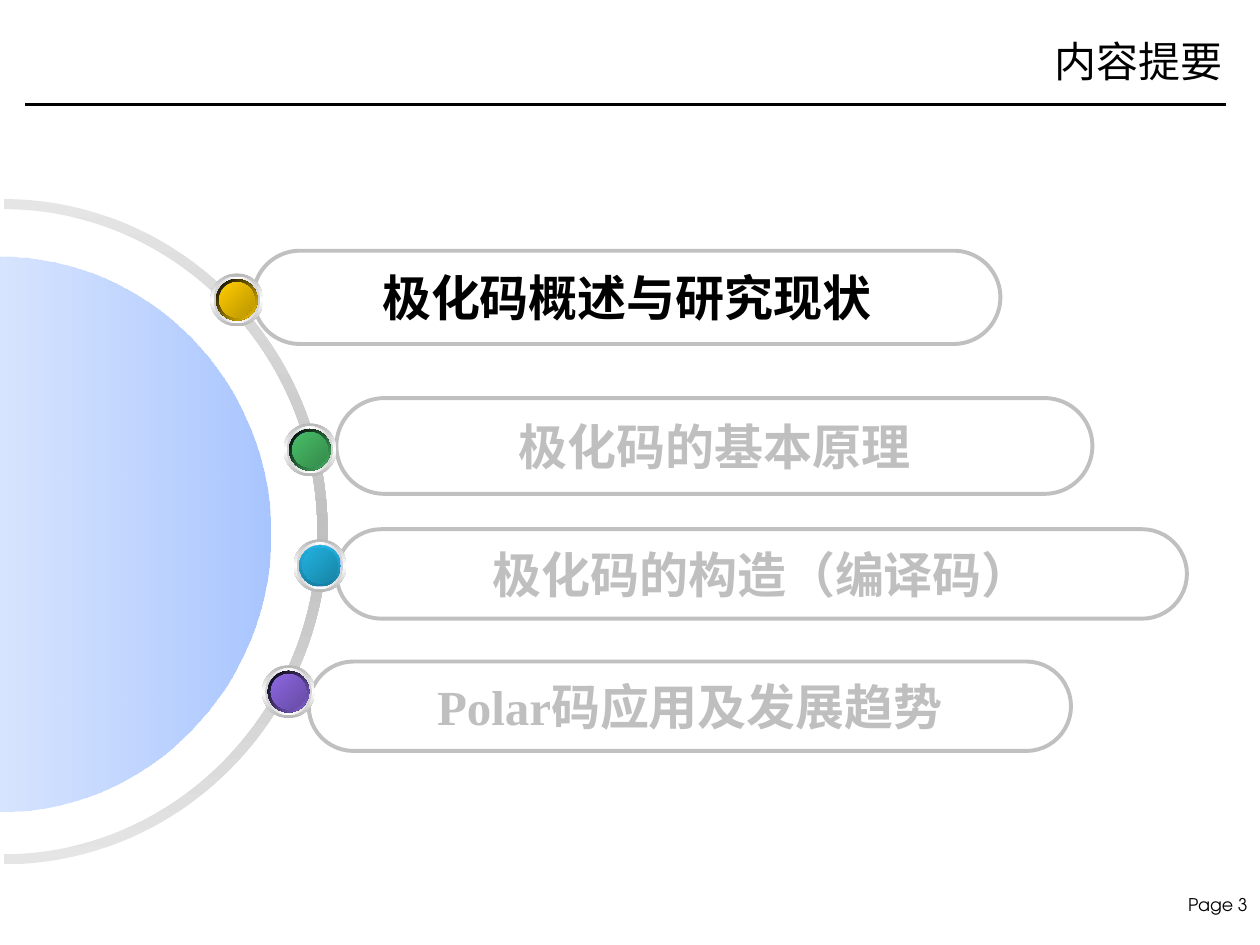
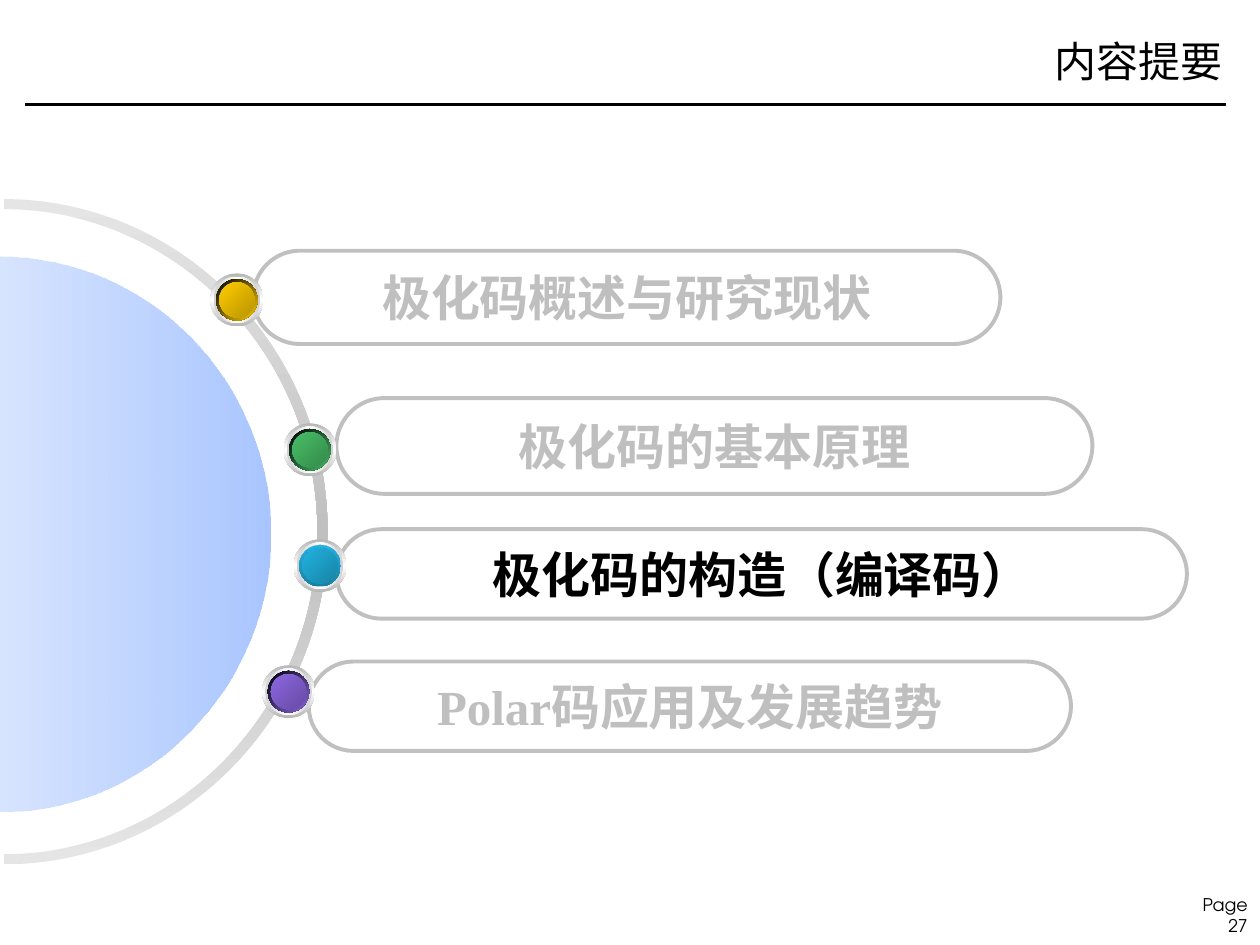
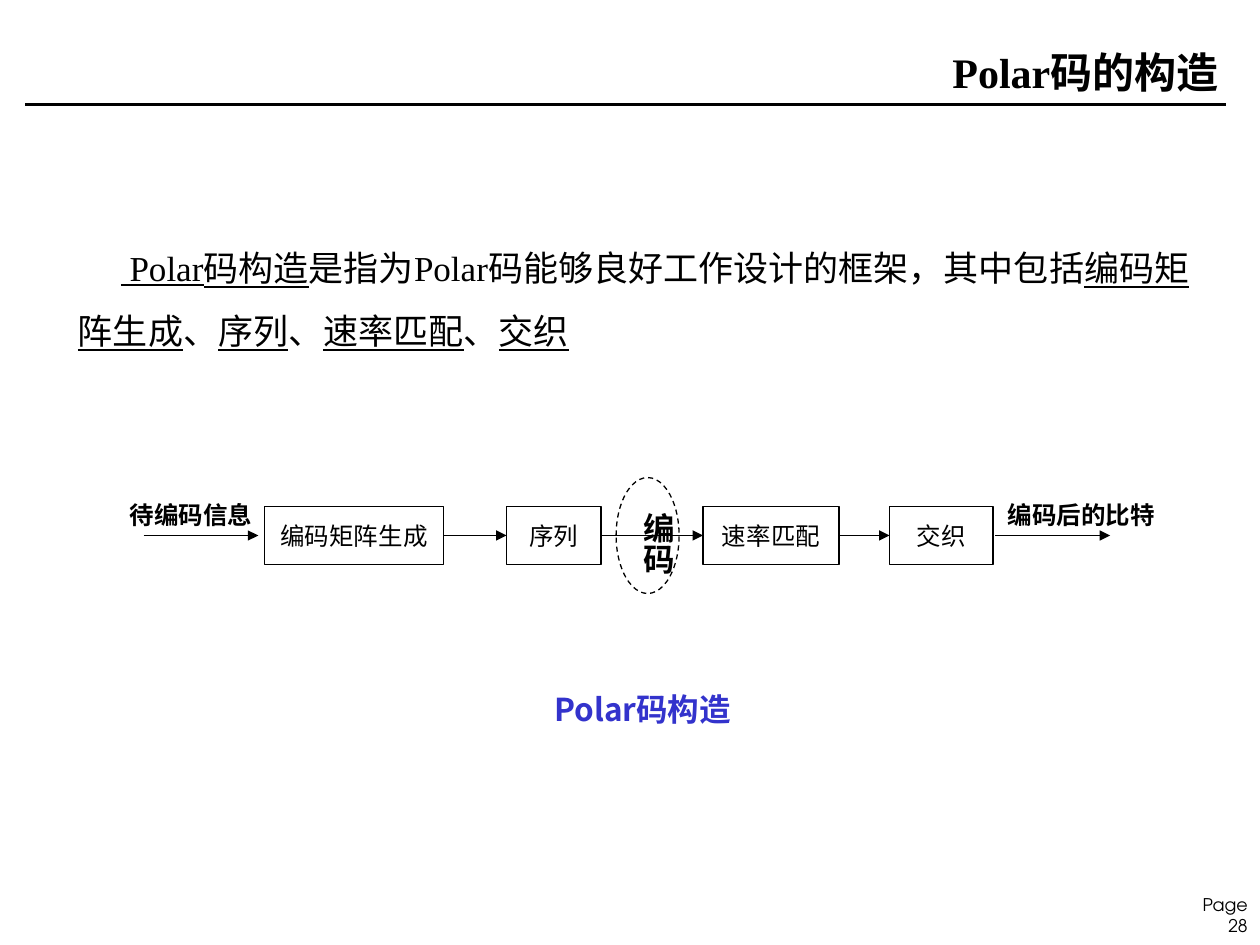
from dataclasses import dataclass

from lxml.etree import SubElement
from pptx import Presentation
from pptx.dml.color import RGBColor
from pptx.enum.dml import MSO_LINE_DASH_STYLE as Dash
from pptx.enum.shapes import MSO_CONNECTOR as Link, MSO_SHAPE as Preset
from pptx.enum.text import MSO_ANCHOR as Anchor, MSO_AUTO_SIZE as AutoSize, PP_ALIGN as Align
from pptx.oxml.ns import qn
from pptx.util import Inches, Pt

COLORS = {
    "ink": "000000", "paper": "FFFFFF", "muted": "BFBFBF", "outline": "C0C0C0",
    "caption": "3333CC", "ring_end": "E5E5E5", "disc": "6699FF", "disc_pale": "B2CCFF",
    "steel": "B6B6B6", "silver": "D1D1D1", "blue_shade": "4E75C3",
    "gold": "FFCC00", "gold_dark": "BA9500", "green": "48BE67", "green_dark": "358B4B",
    "cyan": "21B3E1", "cyan_rim": "1880A1", "cyan_dark": "1883A4",
    "violet": "8D67E1", "violet_dark": "674BA4",
}
SERIF, SANS, HAN, FOOTER = "Times New Roman", "Arial", "Noto Sans CJK SC", "TeX Gyre Adventor"


@dataclass(frozen=True)
class Span:
    text: str
    font: str = SERIF
    underline: bool = False


@dataclass(frozen=True)
class Stop:
    position: int
    color: str
    alpha: int = 100


@dataclass(frozen=True)
class Topic:
    spans: tuple[Span, ...]
    left: float
    top: float
    width: float
    height: float


@dataclass(frozen=True)
class Bead:
    left: float
    top: float
    rim: tuple[str, str]
    core: tuple[str, str]
    rim_angle: int = 45


@dataclass(frozen=True)
class Step:
    label: str
    left: float
    width: float


TOPICS = (
    Topic((Span("极化码概述与研究现状", SANS),), 2.01, 1.99, 5.93, 0.74),
    Topic((Span("极化码的基本原理", SANS),), 2.67, 3.16, 6, 0.76),
    Topic((Span("极化码的构造（编译码）", SANS),), 2.67, 4.2, 6.75, 0.71),
    Topic((Span("Polar码"), Span("应用及发展趋势", SANS)), 2.45, 5.25, 6.05, 0.71),
)
BEADS = (
    Bead(1.67, 2.17, ("ink", "gold"), ("gold", "gold_dark")),
    Bead(2.25, 3.36, ("ink", "green"), ("green", "green_dark")),
    Bead(2.33, 4.28, ("cyan", "cyan_rim"), ("cyan", "cyan_dark"), 90),
    Bead(2.08, 5.28, ("ink", "violet"), ("violet", "violet_dark")),
)
STEPS = (
    Step("编码矩阵生成", 2.1, 1.42), Step("序列", 4.02, 0.75),
    Step("速率匹配", 5.58, 1.08), Step("交织", 7.06, 0.82),
)
STEP_TOP, STEP_HEIGHT = 4.02, 0.46
FLOW_Y = STEP_TOP + STEP_HEIGHT / 2


# Formatting helpers
def rgb(name: str) -> RGBColor:
    return RGBColor.from_string(COLORS[name])


def write(frame, spans, size: float, color: str = "ink", bold: bool = False, align=Align.LEFT):
    paragraph = frame.paragraphs[0]
    paragraph.alignment = align
    for span in spans:
        run = paragraph.add_run()
        run.text = span.text
        run.font.name, run.font.size = span.font, Pt(size)
        run.font.bold, run.font.underline = bold, span.underline
        run.font.color.rgb = rgb(color)
        SubElement(run.font._element, qn("a:ea"), typeface=HAN)


def add_label(slide, spans, box, size: float, **style):
    label = slide.shapes.add_textbox(*map(Inches, box))
    label.text_frame.word_wrap = True
    write(label.text_frame, spans, size, **style)
    return label


def paint_gradient(shape, stops, angle: int) -> None:
    shape.shadow.inherit = False
    shape.line.fill.background()
    shape.fill.gradient()
    gradient = shape.element.spPr.find(qn("a:gradFill"))
    stop_list = gradient.find(qn("a:gsLst"))
    for default_stop in list(stop_list):
        stop_list.remove(default_stop)
    for stop in stops:
        entry = SubElement(stop_list, qn("a:gs"), pos=str(stop.position * 1000))
        color = SubElement(entry, qn("a:srgbClr"), val=COLORS[stop.color])
        if stop.alpha < 100:
            SubElement(color, qn("a:alpha"), val=str(stop.alpha * 1000))
    gradient.find(qn("a:lin")).set("ang", str(angle * 60000))


def spread(*names: str) -> list[Stop]:
    return [Stop(100 * i // (len(names) - 1), name) for i, name in enumerate(names)]


def add_line(slide, start, end, weight: float, arrow: bool = False):
    line = slide.shapes.add_connector(Link.STRAIGHT, *map(Inches, (*start, *end)))
    line.line.color.rgb = rgb("ink")
    line.line.width = Pt(weight)
    properties = line.element.spPr
    if arrow:
        SubElement(properties.find(qn("a:ln")), qn("a:tailEnd"), type="triangle")
    SubElement(properties, qn("a:effectLst"))
    return line


# Title and page number of every slide; the rule belongs to their layout
def start_slide(deck, spans, title_box, page: int, bold: bool = False):
    slide = deck.slides.add_slide(deck.slide_layouts[5])
    footer = add_label(slide, [Span(f"Page {page}", FOOTER)], (9.2, 7.05, 0.8, 0.26), 10,
                       align=Align.RIGHT)
    footer.text_frame.margin_left = Inches(0.2)
    title = slide.shapes.title
    title.left, title.top, title.width, title.height = map(Inches, title_box)
    title.text_frame.auto_size = AutoSize.NONE
    title.text_frame.vertical_anchor = Anchor.MIDDLE
    write(title.text_frame, spans, 24, bold=bold, align=Align.RIGHT)
    return slide


def move_rule_to_layout(slide) -> None:
    rule = add_line(slide, (0.2, 0.83), (9.73, 0.83), 2)
    slide.slide_layout.shapes.element.append(rule.element)


# Agenda
def half_ellipse(center, radii) -> list[tuple[int, int]]:
    """Anchors and handles of two Bezier quarters, from the top to the bottom."""
    (x, y), (rx, ry), handle = center, radii, 0.55
    offsets = ((0, -1), (handle, -1), (1, -handle), (1, 0), (1, handle), (handle, 1), (0, 1))
    return [(Inches(x + rx * dx), Inches(y + ry * dy)) for dx, dy in offsets]


def add_curved_outline(slide, *halves):
    points = [point for half in halves for point in half]
    builder = slide.shapes.build_freeform(*points[0])
    builder.add_line_segments(points[1:], close=True)
    outline = builder.convert_to_shape()
    segments = list(outline.element.iter(qn("a:lnTo")))
    for half_start in range(0, len(segments), 7):
        for first in (half_start, half_start + 3):
            curve = SubElement(segments[first].getparent(), qn("a:cubicBezTo"))
            segments[first].addprevious(curve)
            for segment in segments[first:first + 3]:
                curve.append(segment[0])
                segment.getparent().remove(segment)
    return outline


def add_topic(slide, topic: Topic, active: bool) -> None:
    pill = slide.shapes.add_shape(
        Preset.ROUNDED_RECTANGLE,
        *map(Inches, (topic.left, topic.top, topic.width, topic.height)))
    pill.adjustments[0] = 0.5
    pill.shadow.inherit = False
    pill.fill.background()
    pill.line.color.rgb = rgb("outline")
    pill.line.width = Pt(2.25)
    pill.text_frame.word_wrap = False
    pill.text_frame.vertical_anchor = Anchor.MIDDLE
    write(pill.text_frame, topic.spans, 28, "ink" if active else "muted", True, Align.CENTER)


def add_bead(slide, bead: Bead) -> None:
    outer = 0.42
    layers = (
        (outer, ("steel", "paper", "steel"), 90),
        (0.37, ("silver", "paper", "silver"), 0),
        (0.33, ("paper", "disc", "paper"), 45),
        (0.33, bead.rim, bead.rim_angle),
        (0.28, ("blue_shade", "disc", "blue_shade"), 315),
        (0.28, bead.core, 45),
    )
    group = slide.shapes.add_group_shape()
    for size, names, angle in layers:
        inset = (outer - size) / 2
        layer = group.shapes.add_shape(
            Preset.OVAL, *map(Inches, (bead.left + inset, bead.top + inset, size, size)))
        paint_gradient(layer, spread(*names), angle)


def add_agenda(deck, page: int, active: int):
    slide = start_slide(deck, [Span("内容提要")], (7.28, 0.11, 2.52, 0.75), page)
    center = (0.03, 4.22)
    ring = add_curved_outline(slide, half_ellipse(center, (2.49, 2.56)),
                              half_ellipse(center, (2.57, 2.64))[::-1])
    paint_gradient(ring, spread("ring_end", "outline", "ring_end"), 90)
    disc = add_curved_outline(slide, half_ellipse((0, 4.24), (2.15, 2.2)))
    paint_gradient(disc, [Stop(0, "disc_pale", 52), Stop(100, "disc", 56)], 0)
    for index, topic in reversed(list(enumerate(TOPICS))):
        add_topic(slide, topic, index == active)
    for bead in BEADS:
        add_bead(slide, bead)
    return slide


# Construction flow
def add_step(slide, step: Step):
    box = slide.shapes.add_shape(
        Preset.RECTANGLE, *map(Inches, (step.left, STEP_TOP, step.width, STEP_HEIGHT)))
    box.shadow.inherit = False
    box.fill.solid()
    box.fill.fore_color.rgb = rgb("paper")
    box.line.color.rgb = rgb("ink")
    box.line.width = Pt(1)
    box.text_frame.vertical_anchor = Anchor.MIDDLE
    write(box.text_frame, [Span(step.label)], 14, align=Align.CENTER)
    return box


def add_construction(deck, page: int) -> None:
    slide = start_slide(deck, [Span("Polar码"), Span("的构造", SANS)],
                        (6.56, 0.19, 3.21, 0.75), page, bold=True)
    definition = [
        Span(" Polar码构造", underline=True), Span("是指为Polar码能够良好工作设计"),
        Span("的框架，其中包括", HAN), Span("编码矩阵生成", HAN, True), Span("、", HAN),
        Span("序列", HAN, True), Span("、", HAN), Span("速率匹配", HAN, True),
        Span("、", HAN), Span("交织", HAN, True),
    ]
    body = add_label(slide, definition, (0.52, 1.74, 9.25, 1.05), 20)
    paragraph = body.text_frame.paragraphs[0]
    paragraph.line_spacing = 1.5
    paragraph._p.get_or_add_pPr().set("indent", str(Inches(0.34)))

    # Boxes and arrows
    boxes = [add_step(slide, step) for step in STEPS]
    for (source, target), (box, next_box) in zip(zip(STEPS, STEPS[1:]), zip(boxes, boxes[1:])):
        arrow = add_line(slide, (source.left + source.width, FLOW_Y), (target.left, FLOW_Y),
                         0.5, arrow=True)
        arrow.begin_connect(box, 3)
        arrow.end_connect(next_box, 1)
    for start, end in ((1.14, 2.05), (7.9, 8.81)):
        add_line(slide, (start, FLOW_Y), (end, FLOW_Y), 0.5, arrow=True)
    for text, left, width in (("待编码信息", 0.93, 1.33), ("编码后的比特", 7.9, 1.5)):
        add_label(slide, [Span(text, HAN)], (left, 3.92, width, 0.34), 14, bold=True)

    # Encoding mark and caption
    encoding = slide.shapes.add_shape(Preset.OVAL, *map(Inches, (4.89, 3.79, 0.5, 0.92)))
    encoding.shadow.inherit = False
    encoding.fill.background()
    encoding.line.color.rgb = rgb("ink")
    encoding.line.width = Pt(0.75)
    encoding.line.dash_style = Dash.DASH
    mark = add_label(slide, [Span("编码", HAN)], (4.92, 3.97, 0.5, 0.74), 18, bold=True)
    mark.text_frame._txBody.bodyPr.set("vert", "eaVert")
    add_label(slide, [Span("Polar码构造", HAN)], (4.3, 5.43, 1.92, 0.4), 18,
              color="caption", bold=True)


def main() -> None:
    deck = Presentation()
    deck.slide_width, deck.slide_height = Inches(10), Inches(7.5)
    agenda = add_agenda(deck, page=3, active=0)
    move_rule_to_layout(agenda)
    add_agenda(deck, page=27, active=2)
    add_construction(deck, page=28)
    deck.save("out.pptx")


if __name__ == "__main__":
    main()
